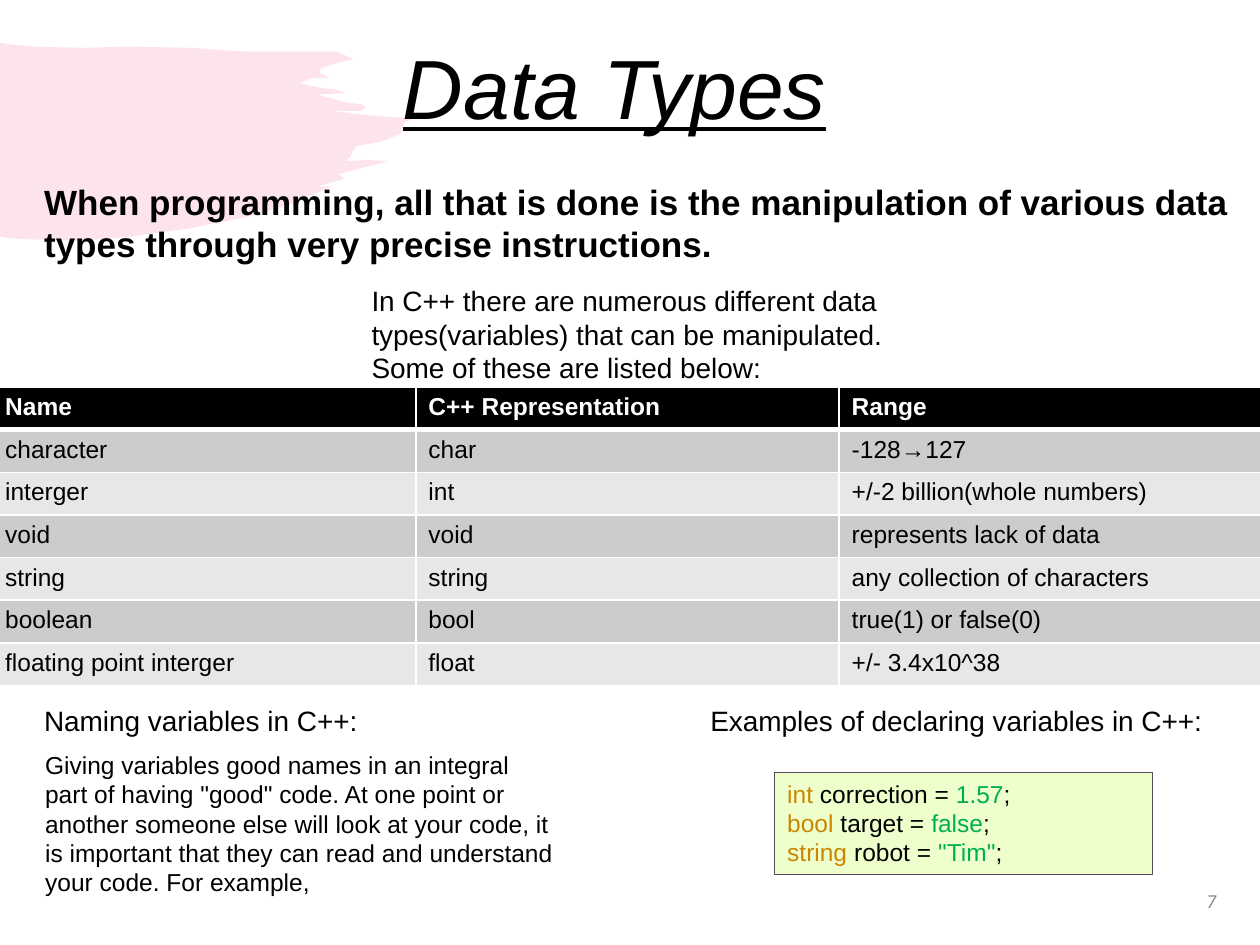
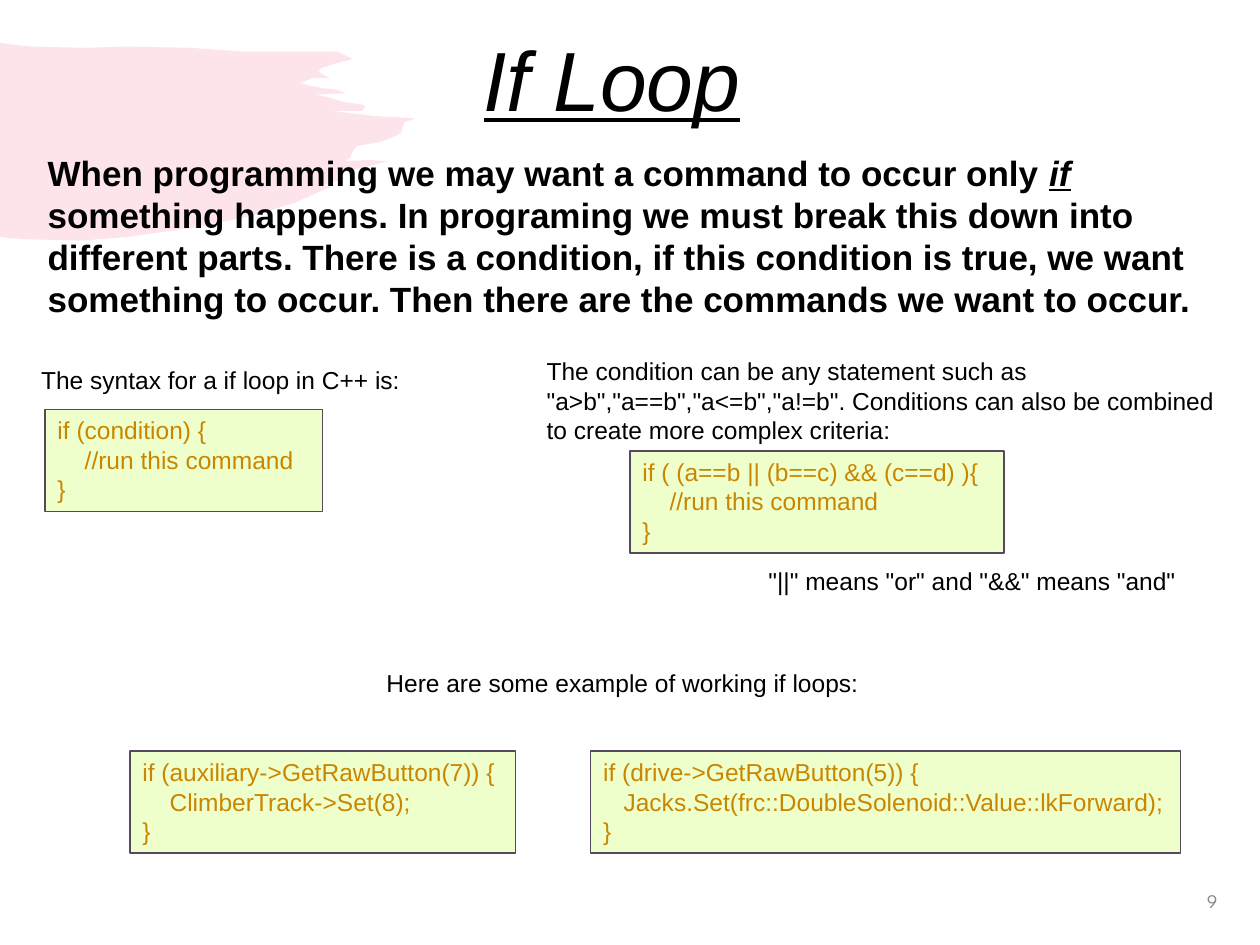
from lxml import etree
from pptx import Presentation
from pptx.dml.color import RGBColor
from pptx.enum.shapes import MSO_SHAPE
from pptx.enum.text import MSO_ANCHOR, PP_ALIGN
from pptx.oxml.ns import qn
from pptx.util import Cm, Pt

COLOURS = {
    "text": "000000", "white": "FFFFFF", "brush": "F07C98", "number": "888888",
    "code": "CA8600", "value": "00B050", "code_fill": "EEFFCC", "code_line": "57495C",
    "dark_row": "CCCCCC", "light_row": "E7E7E7",
}
COLOURS = {name: RGBColor.from_string(value) for name, value in COLOURS.items()}

# Brush stroke outline, in hundredths of an inch
BRUSH_UNIT = Cm(0.0254)
BRUSH = [
    (0, 34), (6, 35), (25, 37), (66, 38), (102, 37), (151, 38), (194, 41), (248, 41),
    (268, 41), (280, 47), (271, 49), (255, 54), (253, 57), (256, 59), (262, 62),
    (248, 62), (238, 66), (246, 68), (256, 70), (266, 71), (275, 74), (251, 75),
    (263, 78), (273, 81), (280, 82), (288, 83), (290, 85), (287, 88), (284, 88),
    (263, 88), (296, 92), (330, 94), (321, 97), (318, 106), (307, 111), (300, 113),
    (283, 116), (280, 120), (278, 125), (274, 128), (291, 127), (308, 128), (269, 138),
    (273, 142), (252, 148), (263, 148), (234, 161), (197, 172), (152, 181), (102, 188),
    (65, 191), (23, 190), (7, 189), (0, 188),
]


def add_text(slide, box, lines, size, colour="text", code=False):
    """Add a text box or a code panel; a line is a string or a list of (text, colour)."""
    box = [Cm(length) for length in box]
    if code:
        shape = slide.shapes.add_shape(MSO_SHAPE.RECTANGLE, *box)
        shape.shadow.inherit = False
        shape.fill.solid()
        shape.fill.fore_color.rgb = COLOURS["code_fill"]
        shape.line.color.rgb = COLOURS["code_line"]
        shape.line.width = Pt(0.75)
    else:
        shape = slide.shapes.add_textbox(*box)
    frame = shape.text_frame
    frame.word_wrap = True
    frame.vertical_anchor = MSO_ANCHOR.TOP
    for index, line in enumerate(lines):
        paragraph = frame.add_paragraph() if index else frame.paragraphs[0]
        paragraph.alignment = PP_ALIGN.LEFT
        paragraph.font.name = "Arial"
        paragraph.font.size = Pt(size)
        for text, run_colour in [(line, colour)] if isinstance(line, str) else line:
            run = paragraph.add_run()
            run.text = text
            run.font.color.rgb = COLOURS[run_colour]
    return frame


def add_border(cell, side, points):
    properties = cell._tc.get_or_add_tcPr()
    line = etree.SubElement(properties, qn(f"a:ln{side}"), w=str(Pt(points)))
    fill = etree.SubElement(line, qn("a:solidFill"))
    etree.SubElement(fill, qn("a:srgbClr"), val=str(COLOURS["white"]))


presentation = Presentation()
presentation.slide_width = Cm(25.4)
presentation.slide_height = Cm(19.05)

# Shared parts: brush stroke, title and slide number
slides = []
for title, title_box, number in [
    ("Data Types", (7.87, 0.84, 9.65, 2.06), "7"),
    ("If Loop", (9.5, 0.66, 6.35, 2.06), "9"),
]:
    slide = presentation.slides.add_slide(presentation.slide_layouts[6])
    slides.append(slide)

    builder = slide.shapes.build_freeform(*BRUSH[0], scale=BRUSH_UNIT)
    builder.add_line_segments(BRUSH[1:], close=True)
    brush = builder.convert_to_shape()
    brush.shadow.inherit = False
    brush.line.fill.background()
    brush.fill.solid()
    brush.fill.fore_color.rgb = COLOURS["brush"]
    brush_colour = brush._element.spPr.find(".//" + qn("a:srgbClr"))
    etree.SubElement(brush_colour, qn("a:alpha"), val="20000")

    frame = add_text(slide, title_box, [title], 48)
    frame.vertical_anchor = MSO_ANCHOR.MIDDLE
    paragraph = frame.paragraphs[0]
    paragraph.line_spacing = 0.9
    paragraph.font.italic = True
    paragraph.font.underline = True

    frame = add_text(slide, (23.34, 17.65, 1.45, 1.02), [number], 11, "number")
    frame.vertical_anchor = MSO_ANCHOR.MIDDLE
    paragraph = frame.paragraphs[0]
    paragraph.alignment = PP_ALIGN.RIGHT
    paragraph.font.name = "League Spartan"

types_slide, if_slide = slides

# Data types: introduction
frame = add_text(types_slide, (0.64, 3.51, 24.69, 1.96), [
    "When programming, all that is done is the manipulation of various data types "
    "through very precise instructions."], 20)
frame.paragraphs[0].font.bold = True
add_text(types_slide, (7.24, 5.59, 11.99, 2.31), [
    "In C++ there are numerous different data types(variables) that can be manipulated. "
    "Some of these are listed below:"], 16)

# Data types: table
TYPES = [
    ("Name", "C++ Representation", "Range"),
    ("character", "char", "-128→127"),
    ("interger", "int", "+/-2 billion(whole numbers)"),
    ("void", "void", "represents lack of data"),
    ("string", "string", "any collection of characters"),
    ("boolean", "bool", "true(1) or false(0)"),
    ("floating point interger", "float", "+/- 3.4x10^38"),
]
table = types_slide.shapes.add_table(
    len(TYPES), 3, Cm(-0.15), Cm(7.8), Cm(25.6), Cm(6.02)).table
for row_index, values in enumerate(TYPES):
    header = row_index == 0
    fill = "text" if header else "dark_row" if row_index % 2 else "light_row"
    for column_index, value in enumerate(values):
        cell = table.cell(row_index, column_index)
        cell.text = value
        for side in "LRTB":
            thick = (header and side == "B") or (row_index == 1 and side == "T")
            add_border(cell, side, 3 if thick else 1)
        cell.fill.solid()
        cell.fill.fore_color.rgb = COLOURS[fill]
        font = cell.text_frame.paragraphs[0].font
        font.name = "Arial"
        font.size = Pt(14)
        font.bold = header
        font.color.rgb = COLOURS["white" if header else "text"]

# Data types: naming and declaring variables
add_text(types_slide, (0.64, 14.05, 10.69, 0.94), ["Naming variables in C++:"], 16)
add_text(types_slide, (0.66, 14.99, 10.85, 3.25), [
    'Giving variables good names in an integral part of having "good" code. At one point '
    "or another someone else will look at your code, it is important that they can read "
    "and understand your code. For example,"], 14)
add_text(types_slide, (14.07, 14.05, 10.69, 0.94),
         ["Examples of declaring variables in C++:"], 16)
declarations = [("int", "correction", "1.57"), ("bool", "target", "false"),
                ("string", "robot", '"Tim"')]
add_text(types_slide, (15.62, 15.57, 7.62, 2.06), [
    [(f"{kind} ", "code"), (f"{name} =", "text"), (f" {value}", "value"), (";", "text")]
    for kind, name, value in declarations], 14, code=True)

# If loop: introduction
frame = add_text(if_slide, (0.71, 2.92, 24.69, 3.68), [[
    ("When programming we may want a command to occur only ", "text"),
    ("if", "text"),
    (" something happens. In programing we must break this down into different parts. "
     "There is a condition, if this condition is true, we want something to occur. "
     "Then there are the commands we want to occur.", "text"),
]], 20)
paragraph = frame.paragraphs[0]
paragraph.font.bold = True
paragraph.runs[1].font.italic = True
paragraph.runs[1].font.underline = True

# If loop: explanations
for box, text in [
    ((0.58, 7.24, 7.8, 0.86), "The syntax for a if loop in C++ is:"),
    ((10.77, 7.06, 14.15, 2.06),
     'The condition can be any statement such as "a>b","a==b","a<=b","a!=b". '
     "Conditions can also be combined to create more complex criteria:"),
    ((15.24, 11.28, 8.84, 0.86), '"||" means "or" and "&&" means "and"'),
    ((7.54, 13.34, 10.34, 0.86), "Here are some example of working if loops:"),
]:
    add_text(if_slide, box, [text], 14)

# If loop: code panels
for left, top, width, condition, command in [
    (0.91, 8.25, 5.59, "if (condition) {", "    //run this command"),
    (12.7, 9.09, 7.54, "if ( (a==b || (b==c) && (c==d) ){", "    //run this command"),
    (2.62, 15.14, 7.77, "if (auxiliary->GetRawButton(7)) {", "    ClimberTrack->Set(8);"),
    (11.91, 15.14, 11.89, "if (drive->GetRawButton(5)) {",
     "   Jacks.Set(frc::DoubleSolenoid::Value::lkForward);"),
]:
    add_text(if_slide, (left, top, width, 2.06), [condition, command, "}"], 14,
             "code", code=True)

presentation.save("out.pptx")
